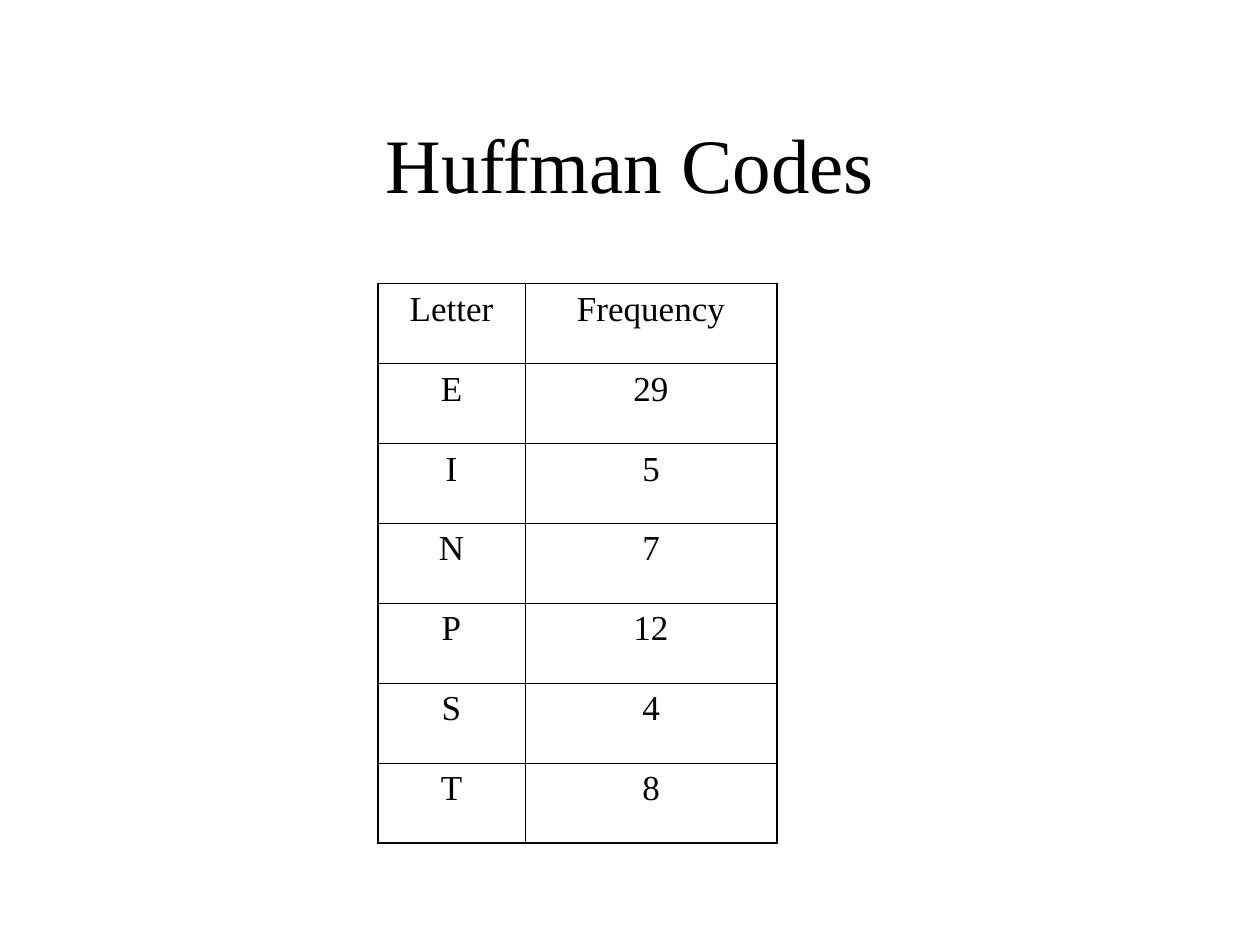
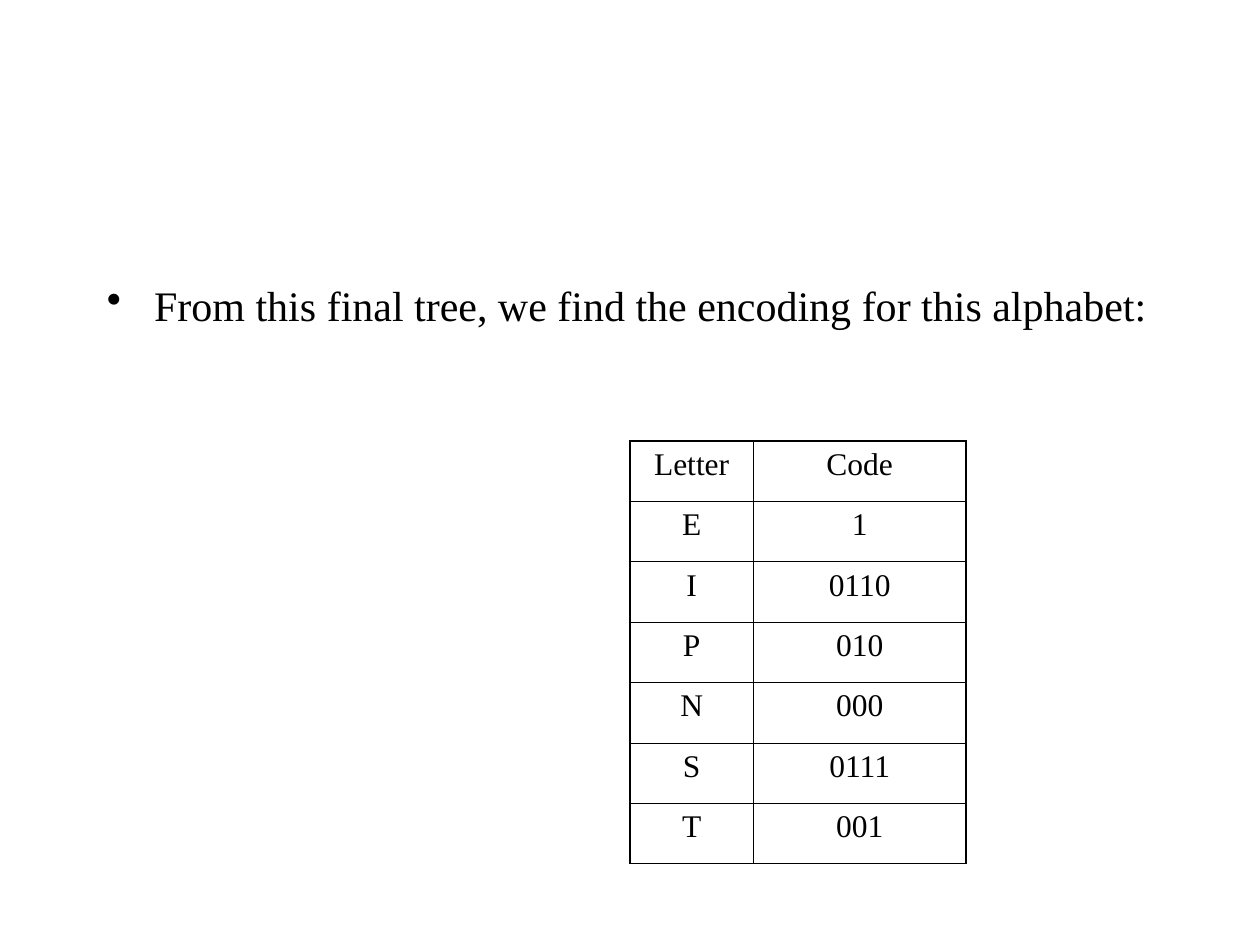
from dataclasses import dataclass

from lxml.etree import SubElement
from pptx import Presentation
from pptx.dml.color import RGBColor as Rgb
from pptx.enum.text import MSO_ANCHOR as Anchor, PP_ALIGN as Align
from pptx.oxml.ns import qn
from pptx.util import Pt


@dataclass(frozen=True)
class Theme:
    font: str = "Times New Roman"
    ink: str = "000000"
    paper: str = "FFFFFF"
    title: int = 44
    body: int = 24
    large: int = 20
    small: int = 18
    outer: float = 1.08
    inner: float = 0.45
    indent: int = 27


@dataclass(frozen=True)
class Box:
    x: float
    y: float
    w: float
    h: float

    def place(self):
        return [Pt(n) for n in (self.x, self.y, self.w, self.h)]


THEME = Theme()
PAGE = Box(0, 0, 720, 540)
TITLE = Box(54, 48, 612, 90)
BODY = Box(54, 156, 612, 324)


def write(frame, text, size, align=Align.LEFT, anchor=Anchor.TOP, bullet=None):
    """Fill a text frame with one styled paragraph."""
    frame.word_wrap = True
    frame.vertical_anchor = anchor
    para = frame.paragraphs[0]
    para.alignment = align
    if bullet:
        props = para._p.get_or_add_pPr()
        props.set("marL", str(Pt(THEME.indent)))
        props.set("indent", str(-Pt(THEME.indent)))
        SubElement(props, qn("a:buChar"), char=bullet)
    run = para.add_run()
    run.text = text
    run.font.name = THEME.font
    run.font.size = Pt(size)
    run.font.color.rgb = Rgb.from_string(THEME.ink)


def label(slide, box, text, size, **style):
    write(slide.shapes.add_textbox(*box.place()).text_frame, text, size, **style)


def edge(cell, side, width):
    props = cell._tc.get_or_add_tcPr()
    line = SubElement(props, qn("a:ln" + side), w=str(Pt(width)))
    fill = SubElement(line, qn("a:solidFill"))
    SubElement(fill, qn("a:srgbClr"), val=THEME.ink)


def grid(slide, box, rows, first, size):
    """Draw a two-column table; first is the width of the left column."""
    count = len(rows)
    table = slide.shapes.add_table(count, 2, *box.place()).table
    table.first_row = table.horz_banding = False
    for col, width in zip(table.columns, (first, box.w - first)):
        col.width = Pt(width)
    for r, row in enumerate(rows):
        table.rows[r].height = Pt(box.h / count)
        for c, text in enumerate(row):
            cell = table.cell(r, c)
            write(cell.text_frame, text, size, align=Align.CENTER)
            rim = {"L": c == 0, "R": c == 1, "T": r == 0, "B": r == count - 1}
            for side, out in rim.items():
                edge(cell, side, THEME.outer if out else THEME.inner)
            cell.fill.background()


def new(deck):
    slide = deck.slides.add_slide(deck.slide_layouts[6])
    slide.background.fill.solid()
    slide.background.fill.fore_color.rgb = Rgb.from_string(THEME.paper)
    return slide


def counts(deck, page):
    slide = new(deck)
    label(slide, TITLE, "Huffman Codes", THEME.title,
          align=Align.CENTER, anchor=Anchor.MIDDLE)
    rows = [("Letter", "Frequency"), ("E", "29"), ("I", "5"), ("N", "7"),
            ("P", "12"), ("S", "4"), ("T", "8")]
    box = Box(page.x + 216, page.y + 162, 228, 320)
    grid(slide, box, rows, 84, THEME.large)


def codes(deck, page):
    slide = new(deck)
    label(slide, BODY,
          "From this final tree, we find the encoding for this alphabet:",
          THEME.body, bullet="•")
    rows = [("Letter", "Code"), ("E", "1"), ("I", "0110"), ("P", "010"),
            ("N", "000"), ("S", "0111"), ("T", "001")]
    box = Box(page.x + 360, page.y + 252, 192, 241.5)
    grid(slide, box, rows, 70.5, THEME.small)


def main():
    deck = Presentation()
    deck.slide_width, deck.slide_height = Pt(PAGE.w), Pt(PAGE.h)
    counts(deck, PAGE)
    codes(deck, PAGE)
    deck.save("out.pptx")


if __name__ == "__main__":
    main()
